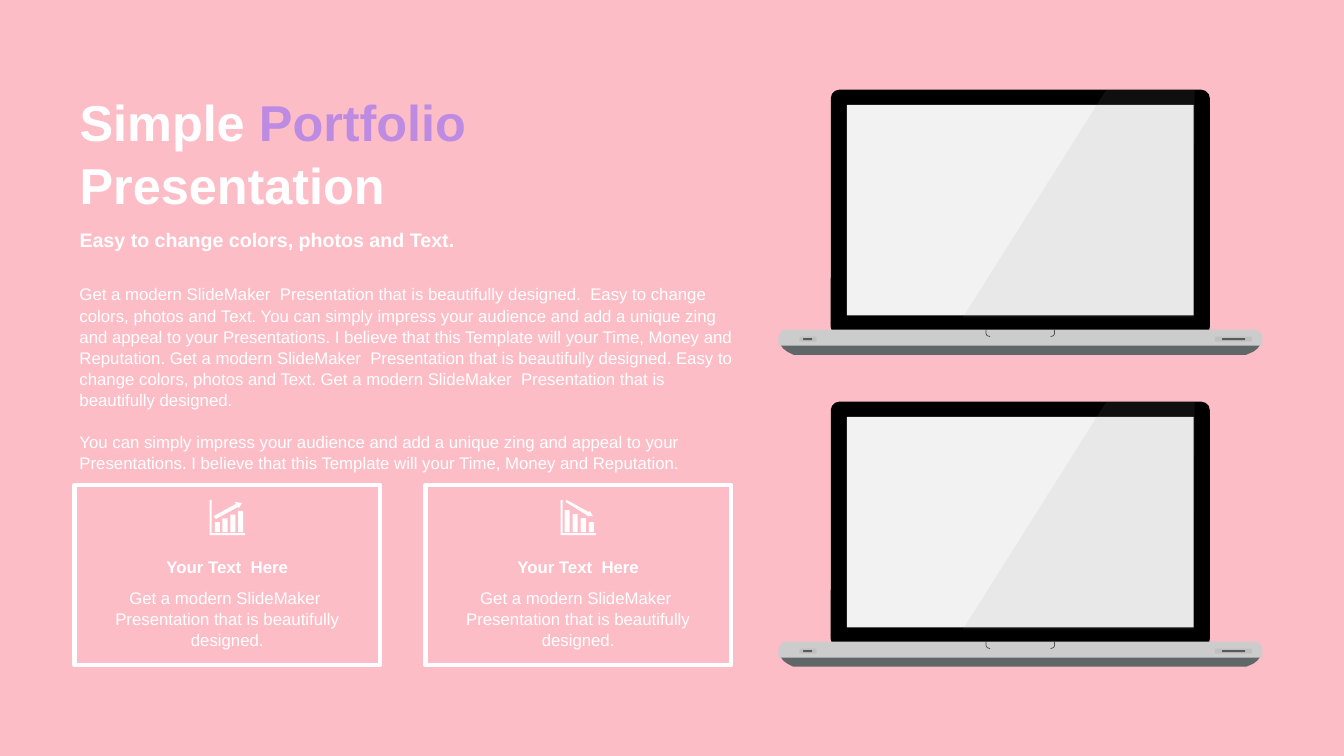
from pptx import Presentation
from pptx import util as u
from pptx.dml.color import RGBColor
from pptx.enum import shapes, text
from lxml import etree

COLORS = {
    "pink": "FDBDC7", "white": "FFFFFF", "violet": "BE8BE2", "black": "000000",
    "screen": "F2F2F2", "deck": "CCCCCC", "base": "5F6767", "notch": "4D4D4D",
    "port": "BFBFBF", "slot": "595959", "glare": "999999",
}
PAINT = {name: RGBColor.from_string(value) for name, value in COLORS.items()}

# Grid of 1333 columns by 750 rows
CELL = u.Inches(0.01)
COLUMNS, ROWS = 1333, 750

deck = Presentation()
deck.slide_width, deck.slide_height = COLUMNS * CELL, ROWS * CELL
slide = deck.slides.add_slide(deck.slide_layouts[5])
slide.background.fill.solid()
slide.background.fill.fore_color.rgb = PAINT["pink"]


def write(frame, paragraphs, size, bold=False, align=text.PP_ALIGN.LEFT, gap=0):
    """Fill a text frame with paragraphs, each a list of (wording, color)."""
    frame.word_wrap = True
    frame.auto_size = text.MSO_AUTO_SIZE.NONE
    frame.vertical_anchor = text.MSO_ANCHOR.TOP
    for number, runs in enumerate(paragraphs):
        paragraph = frame.add_paragraph() if number else frame.paragraphs[0]
        layout = {"alignment": align, "line_spacing": 1.05,
                  "space_before": u.Pt(gap if number else 0)}
        for name, value in layout.items():
            setattr(paragraph, name, value)
        for wording, color in runs:
            run = paragraph.add_run()
            run.text = wording
            for name, value in {"name": "Arial", "size": u.Pt(size), "bold": bold}.items():
                setattr(run.font, name, value)
            run.font.color.rgb = PAINT[color]


def outline(contours, left, top, color, closed=True):
    """Draw contours given in grid cells, measured from left and top."""
    placed = [[(round((left + x) * CELL), round((top + y) * CELL)) for x, y in contour]
              for contour in contours]
    builder = slide.shapes.build_freeform(*placed[0][0])
    for number, contour in enumerate(placed):
        if number:
            builder.move_to(*contour[0])
        builder.add_line_segments(contour[1:], close=closed)
    drawn = builder.convert_to_shape()
    drawn.shadow.inherit = False
    if closed:
        drawn.fill.solid()
        drawn.fill.fore_color.rgb = PAINT[color]
        drawn.line.fill.background()
    else:
        drawn.fill.background()
        drawn.line.color.rgb = PAINT[color]
        drawn.line.width = u.Pt(0.5)
    return drawn


# Laptops: kind, left, top, width, height, corner, color
KIND = shapes.MSO_SHAPE
LAPTOP_PARTS = [
    (KIND.ROUNDED_RECTANGLE, 824, 0, 376, 244, 0.035, "black"),
    (KIND.RECTANGLE, 840, 15, 344, 209, None, "screen"),
    (KIND.ROUND_2_SAME_RECTANGLE, 772, 238, 480, 16, 0.5, "deck"),
    (KIND.ROUNDED_RECTANGLE, 793, 245, 17, 5, 0.28, "port"),
    (KIND.ROUNDED_RECTANGLE, 796.5, 246.5, 9, 2, 0.28, "slot"),
    (KIND.ROUNDED_RECTANGLE, 1205, 245, 37, 5, 0.28, "port"),
    (KIND.ROUNDED_RECTANGLE, 1212, 246.5, 23, 2, 0.28, "slot"),
]
BASE = [(774, 253), (1250, 253), (1247, 257), (1243, 260), (1236, 263),
        (787, 263), (781, 260), (777, 257)]
NOTCH = [[(978, 238), (978, 242), (979, 244), (982, 245)],
         [(1046, 238), (1046, 242), (1045, 244), (1042, 245)]]
GLARE = [(1098, -1), (1185, -1), (1184, 226), (955, 226)]

for laptop_top in (89, 398.5):
    outline([BASE], 0, laptop_top, "base")
    for kind, left, top, width, height, corner, color in LAPTOP_PARTS:
        box = [round(v * CELL) for v in (left, laptop_top + top, width, height)]
        part = slide.shapes.add_shape(kind, *box)
        part.shadow.inherit = False
        part.fill.solid()
        part.fill.fore_color.rgb = PAINT[color]
        part.line.fill.background()
        if corner:
            part.adjustments[0] = corner
    outline(NOTCH, 0, laptop_top, "notch", closed=False)
    glare = outline([GLARE], 0, laptop_top, "glare")
    tint = glare.fill._xPr.solidFill[0]
    etree.SubElement(tint, tint.tag.replace("srgbClr", "alpha"), val="10000")

# Title
title = slide.shapes.title
TITLE_BOX = {"left": 69, "top": 82, "width": 425, "height": 131}
for side, cells in TITLE_BOX.items():
    setattr(title, side, cells * CELL)
write(title.text_frame,
      [[("Simple ", "white"), ("Portfolio", "violet")], [("Presentation", "white")]],
      36, bold=True)

# Subtitle, body and card wording: box, paragraphs, format
PITCH = "Get a modern SlideMaker  Presentation that is beautifully designed."
IMPRESS = ("You can simply impress your audience and add a unique zing and appeal to your "
           "Presentations. I believe that this Template will your Time, Money and Reputation.")
EASY = "Easy to change colors, photos and Text."
BODY = [f"{PITCH}  {EASY} {IMPRESS} {PITCH} {EASY} {PITCH}", IMPRESS]
CARD_LEFTS = (74, 422)
CENTER = text.PP_ALIGN.CENTER

wordings = [
    ((69, 220, 425, 34), [EASY], {"size": 14, "bold": True}),
    ((69, 276, 677, 192), BODY, {"size": 12, "gap": 14.5}),
]
for card_left in CARD_LEFTS:
    wordings += [
        ((card_left + 8.5, 546, 286, 30), ["Your Text  Here"],
         {"size": 12, "bold": True, "align": CENTER}),
        ((card_left + 8.5, 577, 286, 71), [PITCH], {"size": 12, "align": CENTER}),
    ]
for box, paragraphs, style in wordings:
    area = slide.shapes.add_textbox(*[round(v * CELL) for v in box])
    write(area.text_frame, [[(wording, "white")] for wording in paragraphs], **style)

# Card frames with chart icons: first bar, bar step, first top, top step, arrow
AXES = [(0, 0), (2, 0), (2, 33), (35, 33), (35, 35), (0, 35)]
ICONS = [
    (5, 7.7, 22, -3.7,
     [(25, 2), (32, 3), (29, 8), (28, 7), (6, 19), (4, 16), (26, 4)]),
    (4, 8, 10, 4,
     [(6, 0), (28, 12), (29, 11), (32, 16), (26, 16), (26, 15), (5, 2)]),
]
for card_left, (first, step, first_top, rise, arrow) in zip(CARD_LEFTS, ICONS):
    card = slide.shapes.add_shape(
        KIND.RECTANGLE, *[v * CELL for v in (card_left, 481, 303, 179)])
    card.shadow.inherit = False
    card.fill.background()
    card.line.color.rgb = PAINT["white"]
    card.line.width = u.Pt(3)
    bars = []
    for number in range(4):
        x, y = first + number * step, first_top + number * rise
        bars.append([(x, y), (x + 5, y), (x + 5, 32), (x, 32)])
    outline([*bars, arrow, AXES], card_left + 134, 496, "white")

deck.save("out.pptx")
